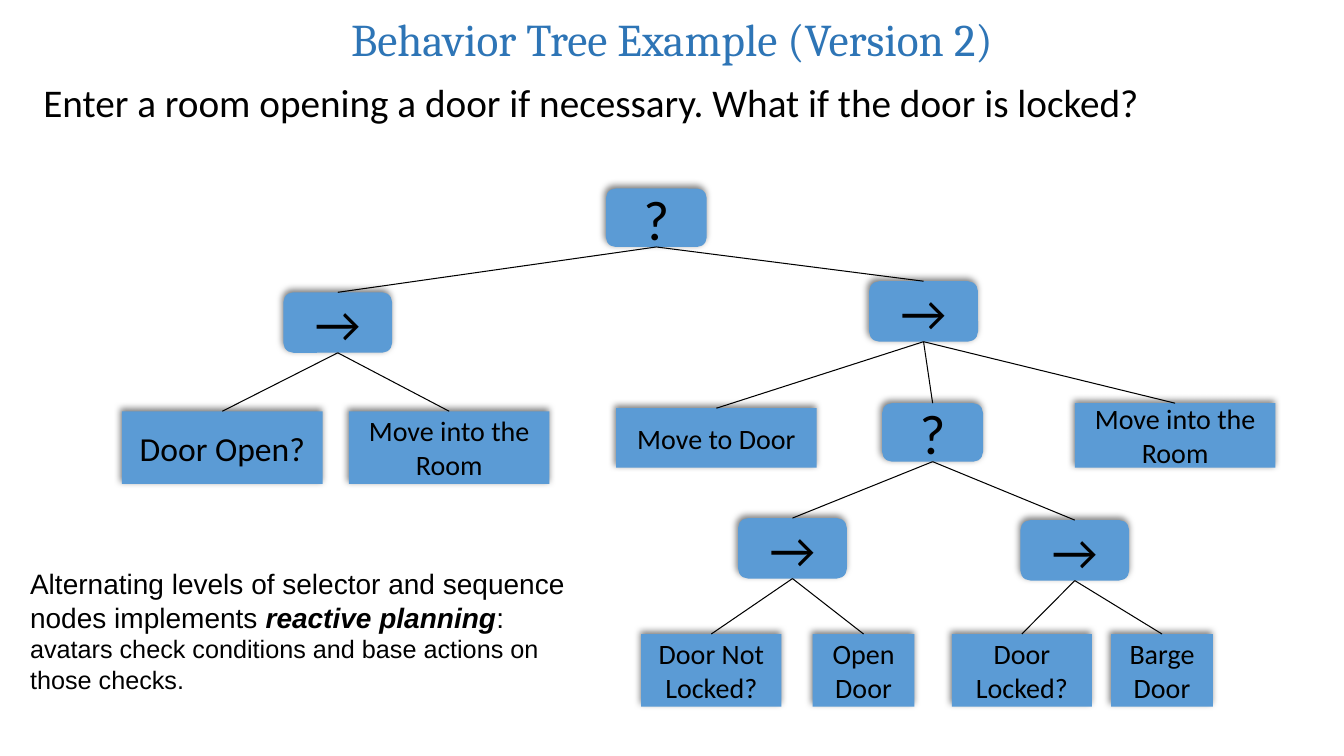
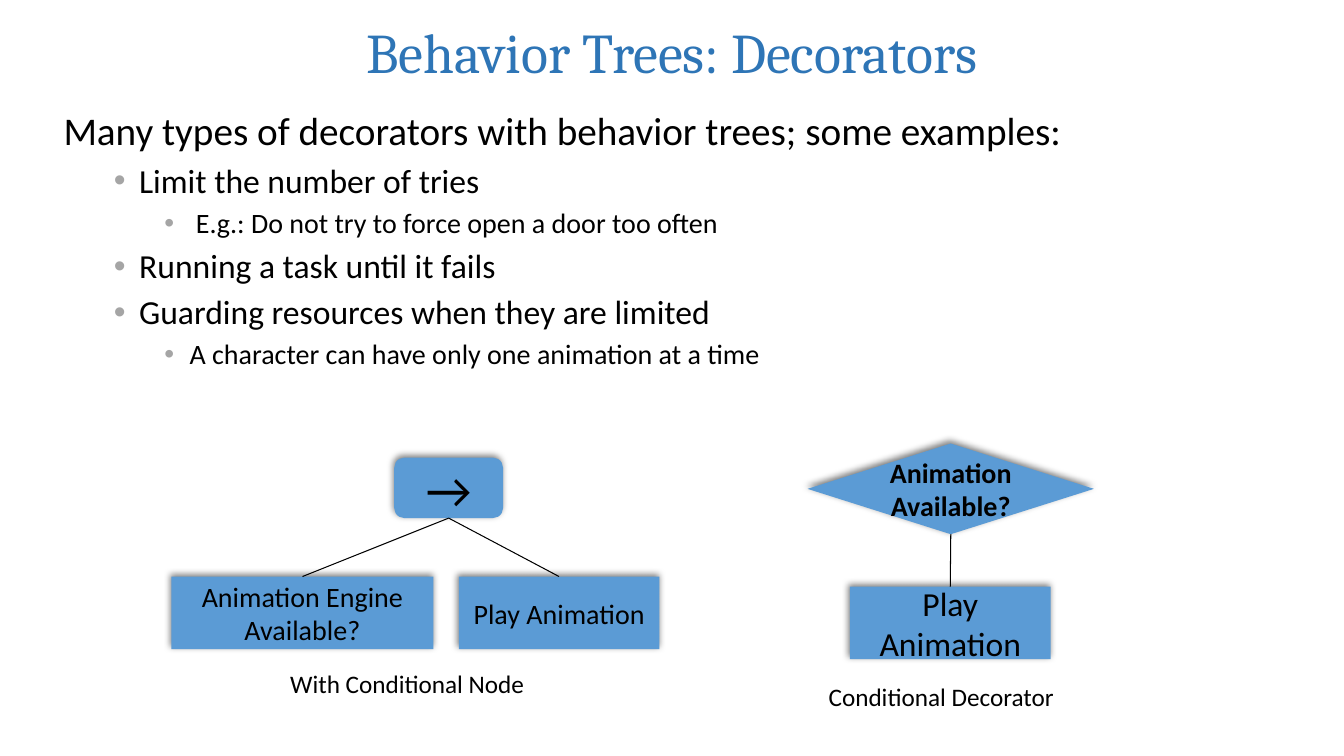
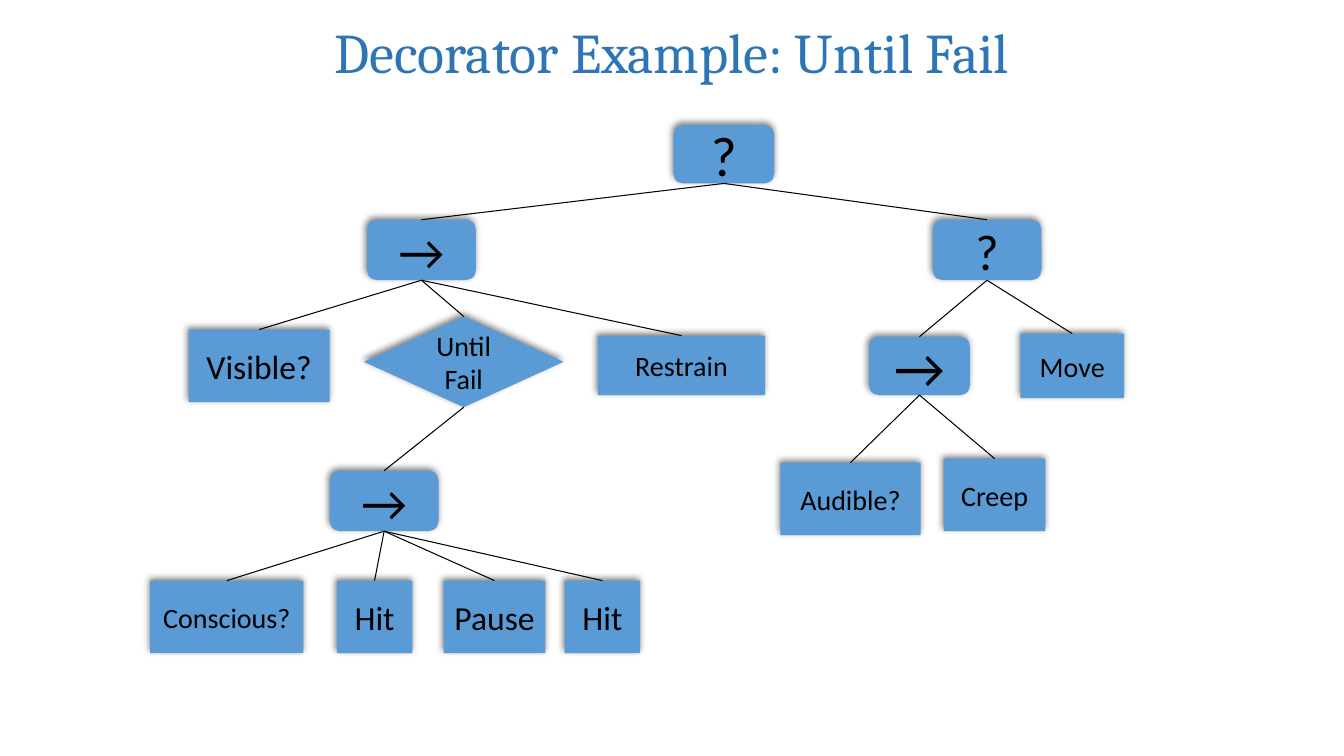
"""Build three slides that explain behavior trees and decorators."""
from dataclasses import dataclass

from lxml import etree
from pptx import Presentation
from pptx.dml.color import RGBColor
from pptx.enum.shapes import MSO_CONNECTOR, MSO_SHAPE
from pptx.enum.text import MSO_ANCHOR, MSO_AUTO_SIZE, PP_ALIGN
from pptx.oxml.ns import qn
from pptx.util import Inches, Pt

BLACK = RGBColor(0x00, 0x00, 0x00)
NODE_BLUE = RGBColor(0x5B, 0x9B, 0xD5)
TITLE_BLUE = RGBColor(0x2E, 0x75, 0xB6)
BULLET_GRAY = RGBColor(0xA5, 0xA5, 0xA5)

TITLE_FONT = "Cambria"
BODY_FONT = "Calibri"
NOTE_FONT = "Arial"

ROUNDED = MSO_SHAPE.ROUNDED_RECTANGLE
RECTANGLE = MSO_SHAPE.RECTANGLE
DIAMOND = MSO_SHAPE.DIAMOND
STRAIGHT = MSO_CONNECTOR.STRAIGHT
MIDDLE = MSO_ANCHOR.MIDDLE
CENTER = PP_ALIGN.CENTER
LEFT = PP_ALIGN.LEFT
NO_AUTOFIT = MSO_AUTO_SIZE.NONE
GROW = MSO_AUTO_SIZE.SHAPE_TO_FIT_TEXT

TITLE_AND_BODY, TITLE_ONLY = 1, 5
TOP_SITE, BOTTOM_SITE = 0, 2
LEVEL_SIZES = (28, 24, 20)


@dataclass
class Node:
    """A tree node with its box in inches and its child nodes."""
    kind: int
    text: str
    box: tuple
    size: int
    children: tuple = ()
    bold: bool = False


def control(symbol, left, top, *children, large=False):
    """Return a selector or sequence node."""
    width, height, size = (1, 0.58, 40) if large else (1.08, 0.6, 36)
    return Node(ROUNDED, symbol, (left, top, width, height), size, children)


def selector(left, top, *children):
    """Return a selector node of the usual size."""
    return control("?", left, top, *children, large=True)


def sequence(left, top, *children):
    """Return a sequence node of the usual size."""
    return control("→", left, top, *children)


def task(text, left, top, width=1.99, height=0.72, size=20):
    """Return a leaf node that checks a condition or acts."""
    return Node(RECTANGLE, text, (left, top, width, height), size)


def decorator(text, left, top, width, child, bold=False):
    """Return a decorator node around one child."""
    return Node(DIAMOND, text, (left, top, width, 0.9), 20, (child,), bold)


def inches(box):
    """Convert a box of numbers to lengths."""
    return [Inches(value) for value in box]


def style_font(font, size, name=BODY_FONT, color=BLACK, bold=False, italic=False):
    """Apply the look of a piece of text."""
    font.size = Pt(size)
    font.name = name
    font.color.rgb = color
    font.bold = bold
    font.italic = italic


def style_runs(paragraph, *arguments, **options):
    """Apply one look to all runs of a paragraph."""
    for run in paragraph.runs:
        style_font(run.font, *arguments, **options)


def place(shape, box):
    """Move and size a placeholder."""
    shape.left, shape.top, shape.width, shape.height = inches(box)


def add_slide(presentation, layout, title, size=40, height=0.94):
    """Add a slide with its title."""
    slide = presentation.slides.add_slide(presentation.slide_layouts[layout])
    shape = slide.shapes.title
    place(shape, (1.05, 0.04, 11.23, height))
    frame = shape.text_frame
    frame.text = title
    frame.auto_size = NO_AUTOFIT
    frame.vertical_anchor = MIDDLE
    frame.paragraphs[0].alignment = CENTER
    style_runs(frame.paragraphs[0], size, TITLE_FONT, TITLE_BLUE)
    return slide


def set_bullet(paragraph, level):
    """Set the indent and bullet of a list level."""
    properties = paragraph._p.get_or_add_pPr()
    properties.set("marL", str(Inches(0.25 + 0.5 * level) if level else 0))
    properties.set("indent", str(Inches(-0.25) if level else 0))
    if not level:
        etree.SubElement(properties, qn("a:buNone"))
        return
    color = etree.SubElement(properties, qn("a:buClr"))
    etree.SubElement(color, qn("a:srgbClr"), val=str(BULLET_GRAY))
    etree.SubElement(properties, qn("a:buFont"), typeface=NOTE_FONT)
    etree.SubElement(properties, qn("a:buChar"), char="•")


def fill_body(slide, box, items):
    """Write (level, text) items into the body placeholder."""
    body = slide.placeholders[1]
    place(body, box)
    frame = body.text_frame
    frame.auto_size = NO_AUTOFIT
    frame.text = "\n".join(text for _, text in items)
    for index, (paragraph, (level, _)) in enumerate(zip(frame.paragraphs, items)):
        size = LEVEL_SIZES[level]
        paragraph.level = level
        set_bullet(paragraph, level)
        paragraph.alignment = LEFT
        paragraph.line_spacing = 0.9
        paragraph.space_before = Pt(0.3 * size if index else 0)
        style_runs(paragraph, size)


def add_shadow(shape):
    """Give a shape a soft shadow towards the top left."""
    shape.shadow.inherit = False
    effects = shape.element.spPr.find(qn("a:effectLst"))
    shadow = etree.SubElement(effects, qn("a:outerShdw"), blurRad=str(Pt(5)),
                              dist=str(Pt(2)), dir=str(245 * 60000),
                              algn="tl", rotWithShape="0")
    color = etree.SubElement(shadow, qn("a:srgbClr"), val=str(BLACK))
    etree.SubElement(color, qn("a:alpha"), val="50000")


def add_branch(slide, parent, child):
    """Join the bottom of a parent to the top of its child."""
    connector = slide.shapes.add_connector(STRAIGHT, 0, 0, 0, 0)
    connector.begin_connect(parent, BOTTOM_SITE)
    connector.end_connect(child, TOP_SITE)
    connector.line.color.rgb = BLACK
    connector.line.width = Pt(0.75)
    etree.SubElement(connector.element.spPr, qn("a:effectLst"))


def add_tree(slide, node):
    """Draw a node and, below it, all its branches."""
    shape = slide.shapes.add_shape(node.kind, *inches(node.box))
    shape.fill.solid()
    shape.fill.fore_color.rgb = NODE_BLUE
    shape.line.fill.background()
    add_shadow(shape)
    frame = shape.text_frame
    frame.text = node.text
    frame.word_wrap = True
    frame.vertical_anchor = MIDDLE
    frame.paragraphs[0].alignment = CENTER
    style_runs(frame.paragraphs[0], node.size, bold=node.bold)
    for child in node.children:
        add_branch(slide, shape, add_tree(slide, child))
    return shape


def add_text(slide, box, runs, wrap=False):
    """Add a text box of (text, font options) runs."""
    frame = slide.shapes.add_textbox(*inches(box)).text_frame
    frame.word_wrap = wrap
    frame.auto_size = GROW
    for text, options in runs:
        run = frame.paragraphs[0].add_run()
        run.text = text
        style_font(run.font, **options)


def build_locked_door(presentation):
    """Build the tree for entering a room."""
    slide = add_slide(presentation, TITLE_AND_BODY,
                      "Behavior Tree Example (Version 2)", 32.4, 0.69)
    fill_body(slide, (0.33, 0.78, 12.04, 0.75), [
        (0, "Enter a room opening a door if necessary. What if the door is locked?")])
    unlocked = sequence(7.32, 5.14,
                        task("Door Not Locked?", 6.36, 6.29, 1.39),
                        task("Open Door", 8.06, 6.29, 1.01))
    locked = sequence(10.12, 5.16,
                      task("Door Locked?", 9.44, 6.29, 1.39),
                      task("Barge Door", 11.02, 6.29, 1.01))
    door_open = sequence(2.81, 2.9,
                         task("Door Open?", 1.21, 4.08, size=24),
                         task("Move into the Room", 3.46, 4.08))
    door_closed = sequence(8.62, 2.79,
                           task("Move to Door", 6.11, 4.05, height=0.59),
                           selector(8.75, 4, unlocked, locked),
                           task("Move into the Room", 10.66, 4, height=0.64))
    add_tree(slide, selector(6.01, 1.87, door_open, door_closed))
    large = {"size": 20, "name": NOTE_FONT}
    add_text(slide, (0.2, 5.57, 5.56, 1.38), [
        ("Alternating levels of selector and sequence nodes implements ", large),
        ("reactive planning", {**large, "bold": True, "italic": True}),
        (": ", large),
        ("avatars check conditions and base actions on those checks.",
         {"size": 18, "name": NOTE_FONT})], wrap=True)


def build_decorators(presentation):
    """Build the list of decorators and the two ways to check a condition."""
    slide = add_slide(presentation, TITLE_AND_BODY, "Behavior Trees: Decorators")
    fill_body(slide, (0.53, 1.06, 12.04, 3.13), [
        (0, "Many types of decorators with behavior trees; some examples:"),
        (1, "Limit the number of tries"),
        (2, " E.g.: Do not try to force open a door too often"),
        (1, "Running a task until it fails"),
        (1, "Guarding resources when they are limited"),
        (2, "A character can have only one animation at a time")])
    add_tree(slide, sequence(3.91, 4.54,
                             task("Animation Engine Available?", 1.7, 5.72, 2.6),
                             task("Play Animation", 4.55, 5.72)))
    add_tree(slide, decorator("Animation Available?", 8.01, 4.4, 2.84,
                              task("Play Animation", 8.43, 5.82, size=24), bold=True))
    caption = {"size": 18}
    add_text(slide, (2.78, 6.58, 2.55, 0.4), [("With Conditional Node", caption)])
    add_text(slide, (8.12, 6.71, 2.46, 0.4), [("Conditional Decorator", caption)])


def build_until_fail(presentation):
    """Build the tree with an until-fail decorator."""
    slide = add_slide(presentation, TITLE_ONLY, "Decorator Example: Until Fail")
    attack = sequence(3.27, 4.67,
                      task("Conscious?", 1.49, 5.76, 1.52),
                      task("Hit", 3.34, 5.76, 0.75, size=24),
                      task("Pause", 4.4, 5.76, 1.01, size=24),
                      task("Hit", 5.6, 5.76, 0.75, size=24))
    visible = sequence(3.64, 2.18,
                       task("Visible?", 1.87, 3.27, 1.4, size=24),
                       decorator("Until Fail", 3.61, 3.14, 1.98, attack),
                       task("Restrain", 5.93, 3.33, 1.66, 0.59))
    audible = control("→", 8.62, 3.34,
                      task("Audible?", 7.74, 4.59, 1.39),
                      task("Creep", 9.36, 4.55, 1.01), large=True)
    hidden = control("?", 9.25, 2.18, audible,
                     task("Move", 10.12, 3.31, 1.03, 0.64))
    add_tree(slide, selector(6.68, 1.24, visible, hidden))


def main():
    """Build and save the presentation."""
    presentation = Presentation()
    presentation.slide_width = Inches(13.33)
    presentation.slide_height = Inches(7.5)
    build_locked_door(presentation)
    build_decorators(presentation)
    build_until_fail(presentation)
    presentation.save("out.pptx")


if __name__ == "__main__":
    main()
